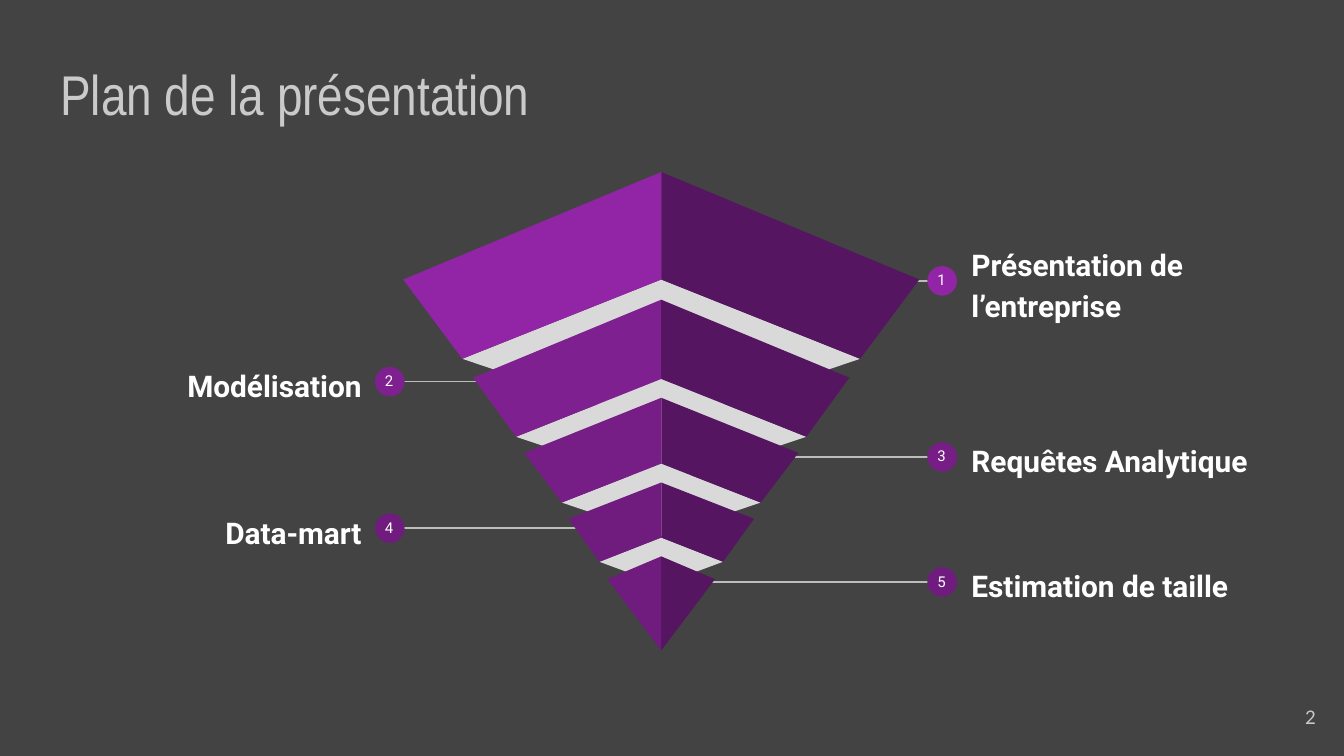
"""Build the agenda slide: a five-tier inverted pyramid with numbered callouts."""
from lxml import etree
from pptx import Presentation
from pptx.dml.color import RGBColor
from pptx.enum.shapes import MSO_CONNECTOR, MSO_SHAPE
from pptx.enum.text import MSO_ANCHOR, PP_ALIGN
from pptx.oxml.ns import qn
from pptx.util import Inches, Pt

LEFT, MID, RIGHT = PP_ALIGN.LEFT, PP_ALIGN.CENTER, PP_ALIGN.RIGHT
TOP, MIDDLE = MSO_ANCHOR.TOP, MSO_ANCHOR.MIDDLE
OVAL, LINE = MSO_SHAPE.OVAL, MSO_CONNECTOR.STRAIGHT


def paint(fill, color):
    fill.solid()
    fill.fore_color.rgb = RGBColor.from_string(color)


def write(text, box, size, font, color, align=LEFT, anchor=TOP, bold=False):
    frame = slide.shapes.add_textbox(*map(Inches, box)).text_frame
    frame.word_wrap = True
    frame.vertical_anchor = anchor
    frame.margin_top = frame.margin_bottom = Inches(0.1)
    frame.margin_left = frame.margin_right = Inches(0.1)
    frame.text = text
    para = frame.paragraphs[0]
    para.alignment = align
    style = para.runs[0].font
    style.size, style.name, style.bold = Pt(size), font, bold
    style.color.rgb = RGBColor.from_string(color)
    return para


deck = Presentation()
deck.slide_width = Inches(10)
deck.slide_height = deck.slide_width * 9 // 16
slide = deck.slides.add_slide(deck.slide_layouts[6])
paint(slide.background.fill, "434343")

write("Plan de la présentation", (0.35, 0.34, 9.32, 0.63), 30, "Arial Narrow", "CACACA")
write("2", (9.29, 5.12, 0.6, 0.43), 10, "Lato", "CACACA", RIGHT, MIDDLE)

items = [
    ("Présentation de l’entreprise", 2.09, 6.42, "9225A5"),
    ("Modélisation", 2.84, 3.76, "7F2090"),
    ("Requêtes Analytique", 3.4, 5.86, "761E86"),
    ("Data-mart", 3.93, 4.31, "701C7F"),
    ("Estimation de taille", 4.33, 5.27, "701C7F"),
]
for num, (label, y, start, color) in enumerate(items, 1):
    if num % 2:
        dot, end, edge, align = 7.01, 7.08, 7.13, LEFT
    else:
        dot, end, edge, align = 2.9, 2.83, 0.46, RIGHT

    line = slide.shapes.add_connector(LINE, Inches(start), Inches(y), Inches(end), Inches(y))
    line.line.width = Pt(0.75)
    paint(line.line.fill, "BDBDBD")
    etree.SubElement(line._element.spPr, qn("a:effectLst"))

    disc = slide.shapes.add_shape(
        OVAL, Inches(dot - 0.11), Inches(y - 0.11), Inches(0.22), Inches(0.22))
    disc.shadow.inherit = False
    disc.line.fill.background()
    paint(disc.fill, color)

    para = write(str(num), (dot - 0.14, y - 0.14, 0.27, 0.34), 8, "Roboto", "FFFFFF", MID)
    para.space_after = Pt(16)
    para = write(label, (edge, y - 0.4, 2.33, 0.82), 16, "Roboto", "FFFFFF",
                 align, MIDDLE, True)
    para.line_spacing = 1.15

axis = 4.92
tiers = [
    (1.28, 1.92, 2.08, 1.48, 2.67, 2.08, 3.17),
    (2.23, 1.4, 2.81, 1.08, 3.25, 2.82, 3.61),
    (2.96, 1.02, 3.37, 0.74, 3.74, 3.45, 3.99),
    (3.59, 0.69, 3.86, 0.46, 4.18, 4, 4.35),
    (4.14, 0.4, 4.31, 0, 4.84, 4.84, None),
]
for (peak, wide, side, foot, base, notch, tip), item in zip(tiers, items):
    parts = []
    if tip:
        parts.append(("D9D9D9", [(-foot, base), (0, notch), (foot, base), (0, tip)]))
    for sign, color in ((1, "551561"), (-1, item[3])):
        spots = [(0, peak), (sign * wide, side), (sign * foot, base)]
        if foot:
            spots.append((0, notch))
        parts.append((color, spots))
    for color, spots in parts:
        spots = [(Inches(axis + x), Inches(y)) for x, y in spots]
        pen = slide.shapes.build_freeform(*spots[0])
        pen.add_line_segments(spots[1:], close=True)
        face = pen.convert_to_shape()
        face.shadow.inherit = False
        face.line.fill.background()
        paint(face.fill, color)

deck.save("out.pptx")
